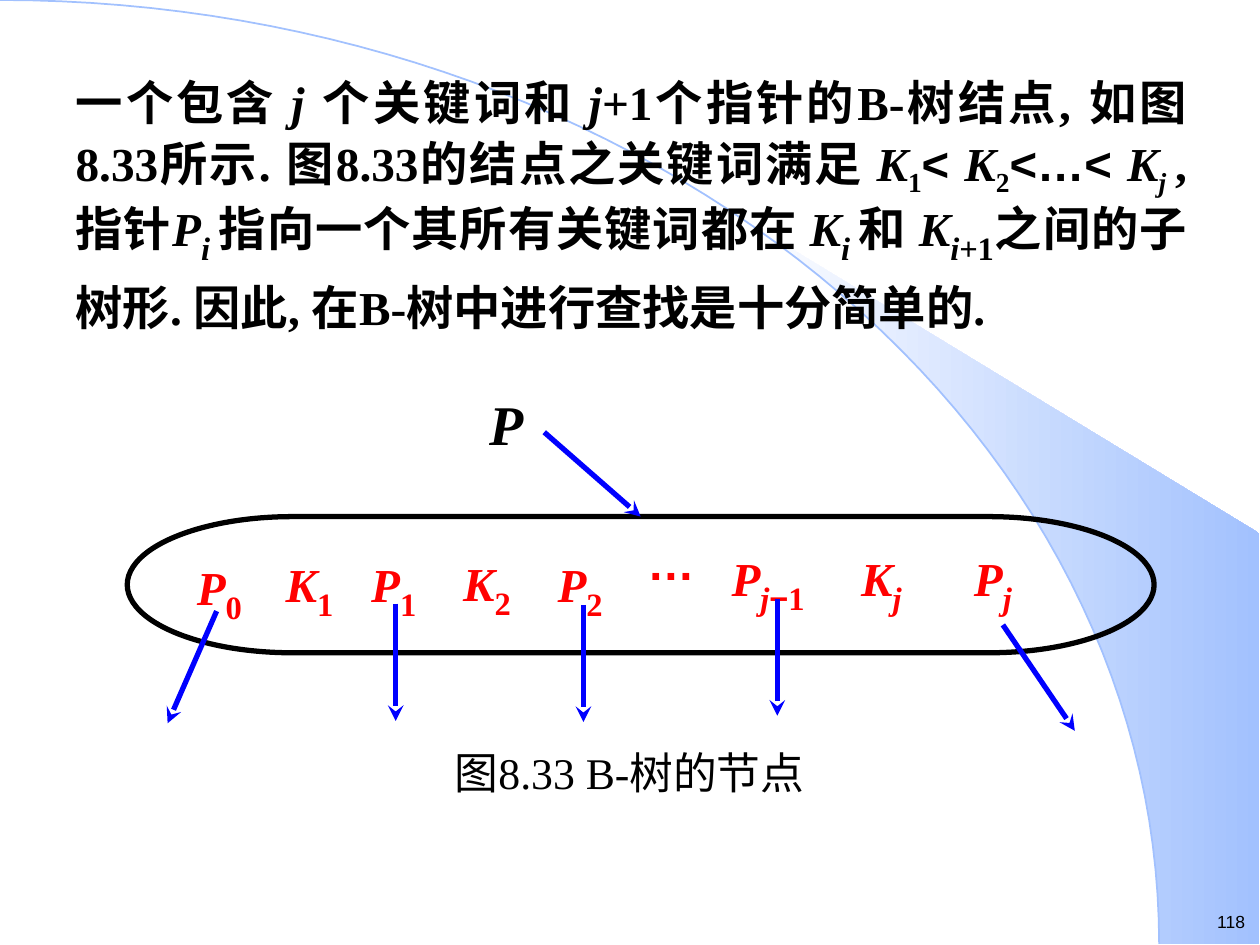
from dataclasses import dataclass
from math import acos, cos, pi, sin

from pptx import Presentation
from pptx.dml.color import RGBColor
from pptx.enum.shapes import MSO_CONNECTOR, MSO_SHAPE
from pptx.enum.text import MSO_ANCHOR as Anchor, MSO_AUTO_SIZE as AutoSize, PP_ALIGN as Align
from pptx.oxml.ns import qn
from pptx.util import Pt
from lxml.etree import SubElement


@dataclass(frozen=True)
class Theme:
    """Colours, fonts and type sizes of the slide."""
    ink: RGBColor = RGBColor(0, 0, 0)
    key: RGBColor = RGBColor(255, 0, 0)
    arrow: RGBColor = RGBColor(0, 0, 255)
    sky: RGBColor = RGBColor(0xA2, 0xC1, 0xFE)
    white: RGBColor = RGBColor(255, 255, 255)
    serif: str = "Times New Roman"
    sans: str = "Arial"
    chinese: str = "Noto Sans CJK SC"
    body: Pt = Pt(27)
    large: Pt = Pt(32)
    caption: Pt = Pt(25)
    number: Pt = Pt(10)


THEME = Theme()
STYLES = {
    "i": {"italic": True},
    "a": {"name": THEME.sans},
    "c": {"name": THEME.chinese},
    "L": {"size": THEME.large},
}
BODY = [
    ("一个包含 ", ""), ("j ", "i"), ("个关键词和 ", ""), ("j", "i"),
    ("+1个指针的B-树结点, 如图8.33所示. 图8.33的结点之关键词满足 ", ""),
    ("K", "i"), ("1", "s"), ("< ", "a"), ("K", "i"), ("2", "s"), ("<…< ", "a"),
    ("K", "i"), ("j ", "is"), (",指针", ""), ("P", "i"), ("i", "isL"), (" ", "is"),
    ("指向一个其所有关键词都在 ", ""), ("K", "i"), ("i", "isL"), (" ", "is"),
    ("和 ", ""), ("K", "i"), ("i", "isL"), ("+1", "sL"),
    ("之间的子树形. 因此, 在B-树中进行查找是十分简单的.", ""),
]
NODE_FIELDS = [
    ((106.6, 314, 37.4, 46.8), [("P", "i"), ("0", "sL")]),
    ((157.7, 312.5, 38.2, 46.8), [("K", "i"), ("1", "sL")]),
    ((205.9, 312.5, 38.2, 46.8), [("P", "i"), ("1", "sL")]),
    ((259.9, 311.8, 36.7, 46.8), [("K", "i"), ("2", "sL")]),
    ((311, 312.5, 41, 46.8), [("P", "i"), ("2", "sL")]),
    ((369.4, 304.6, 28.1, 47.5), [("…", "a")]),
    ((483.8, 308.9, 39.6, 49.7), [("K", "i"), ("j", "isL")]),
    ((543.6, 308.9, 47.5, 49.7), [("P", "i"), ("j", "isL")]),
]
POINTER_ARROWS = [
    (123.8, 349.2, 95.8, 413.3),
    (226.1, 344.9, 226.1, 412),
    (333.4, 345.6, 333.4, 412.6),
    (444.2, 342, 444.2, 409),
    (573.1, 357.1, 614.2, 417.6),
]


def write_runs(paragraph, runs, size, color, bold=False, name=THEME.serif):
    """Write (text, style letters) runs; the letter s lowers a run to a subscript."""
    for text, letters in runs:
        run = paragraph.add_run()
        run.text = text
        values = {"size": size, "bold": bold, "italic": False, "name": name}
        for letter in letters.replace("s", ""):
            values.update(STYLES[letter])
        for attribute, value in values.items():
            setattr(run.font, attribute, value)
        run.font.color.rgb = color
        properties = run.font._element
        if "s" in letters:
            properties.set("baseline", "-25000")
        east_asian = SubElement(properties, qn("a:ea"))
        east_asian.set("typeface", THEME.chinese)


def format_frame(frame, margins=(0, 0, 0, 0), anchor=Anchor.TOP):
    """Set wrapping, anchor and the left, top, right and bottom margins."""
    values = {"word_wrap": True, "auto_size": AutoSize.NONE, "vertical_anchor": anchor}
    for side, margin in zip(("left", "top", "right", "bottom"), margins):
        values[f"margin_{side}"] = Pt(margin)
    for attribute, value in values.items():
        setattr(frame, attribute, value)


def add_label(slide, box, runs, size=THEME.body, color=THEME.ink, align=Align.CENTER,
              spacing=1.0, margins=(0, 0, 0, 0), anchor=Anchor.TOP, **font):
    """Add a one-paragraph text box."""
    frame = slide.shapes.add_textbox(*map(Pt, box)).text_frame
    format_frame(frame, margins, anchor)
    paragraph = frame.paragraphs[0]
    paragraph.alignment = align
    paragraph.line_spacing = spacing
    write_runs(paragraph, runs, size, color, **font)


def add_arrow(slide, ends):
    """Add a blue arrow with a stealth head at its end."""
    arrow = slide.shapes.add_connector(MSO_CONNECTOR.STRAIGHT, *map(Pt, ends))
    arrow.line.color.rgb = THEME.arrow
    arrow.line.width = Pt(3)
    SubElement(arrow.line._get_or_add_ln(), qn("a:tailEnd")).set("type", "stealth")
    SubElement(arrow._element.spPr, qn("a:effectLst"))
    return arrow


def add_outline(slide, points, close):
    """Add a shadowless freeform through the points."""
    start, *rest = [(Pt(x), Pt(y)) for x, y in points]
    builder = slide.shapes.build_freeform(*start)
    builder.add_line_segments(rest, close=close)
    outline = builder.convert_to_shape()
    outline.shadow.inherit = False
    return outline


def arc_points(start_angle, steps=60):
    """Return points of the big quarter ellipse, from an angle down to zero."""
    angles = [start_angle * (1 - step / steps) for step in range(steps + 1)]
    return [(662.4 * cos(angle), 539.3 * (1 - sin(angle))) for angle in angles]


def add_backdrop(slide):
    """Add the shaded sweep and the arc along its edge."""
    sweep_edge = arc_points(acos(0.64))
    sweep = add_outline(slide, sweep_edge + [(719.3, 539.3), (719.3, 304.6)], True)
    sweep.line.fill.background()
    sweep.fill.gradient()
    sweep.fill.gradient_angle = 0
    for stop, color, position in zip(sweep.fill.gradient_stops, (THEME.white, THEME.sky), (0, 1)):
        stop.color.rgb = color
        stop.position = position
    arc = add_outline(slide, arc_points(pi / 2), False)
    arc.fill.background()
    arc.line.color.rgb = THEME.sky
    arc.line.width = Pt(1)


def fill_body(slide, body):
    """Place the explanation in the body placeholder, above the backdrop."""
    slide.shapes._spTree.append(body._element)
    for attribute, value in dict(left=36, top=31.7, width=649.4, height=202.3).items():
        setattr(body, attribute, Pt(value))
    format_frame(body.text_frame, (7.2, 3.6, 7.2, 3.6))
    paragraph = body.text_frame.paragraphs[0]
    for attribute, value in dict(alignment=Align.JUSTIFY, line_spacing=Pt(39),
                                 space_before=Pt(0)).items():
        setattr(paragraph, attribute, value)
    properties = paragraph._p.get_or_add_pPr()
    for attribute in ("marL", "indent"):
        properties.set(attribute, "0")
    SubElement(properties, qn("a:buNone"))
    write_runs(paragraph, BODY, THEME.body, THEME.ink, bold=True)


def add_node(slide):
    """Add the rounded outline of the tree node."""
    node = slide.shapes.add_shape(MSO_SHAPE.FLOWCHART_TERMINATOR,
                                  *map(Pt, (72.7, 295.2, 586.8, 77.8)))
    node.shadow.inherit = False
    node.fill.background()
    node.line.color.rgb = THEME.ink
    node.line.width = Pt(3)
    return node


def main():
    """Build and save the slide."""
    deck = Presentation()
    deck.slide_width, deck.slide_height = Pt(720), Pt(540)
    slide = deck.slides.add_slide(deck.slide_layouts[1])
    title, body = slide.placeholders
    title._element.getparent().remove(title._element)
    add_backdrop(slide)
    add_label(slide, (677.5, 517, 35.3, 19.4), [("118", "a")], THEME.number,
              align=Align.RIGHT, margins=(1.4, 3.6, 1.4, 3.6))
    fill_body(slide, body)
    node = add_node(slide)
    for box, runs in NODE_FIELDS:
        add_label(slide, box, runs, color=THEME.key, bold=True)
    add_label(slide, (412.6, 311, 52.6, 43.2),
              [("P", "i"), ("j", "isL"), ("−", "saL"), ("1", "sL")],
              color=THEME.key, bold=True, spacing=0.85)
    add_label(slide, (243.4, 426.2, 232.6, 30.2),
              [("图", "c"), ("8.33 B-", ""), ("树的节点", "c")], THEME.caption)
    for ends in POINTER_ARROWS:
        add_arrow(slide, ends)
    add_arrow(slide, (311, 247, 366.1, 295.2)).end_connect(node, 0)
    add_label(slide, (270.7, 227.5, 37.4, 32.4), [("P", "i")], THEME.large,
              bold=True, spacing=0.8, margins=(0, 2.9, 0, 0), anchor=Anchor.MIDDLE)
    deck.save("out.pptx")


if __name__ == "__main__":
    main()
